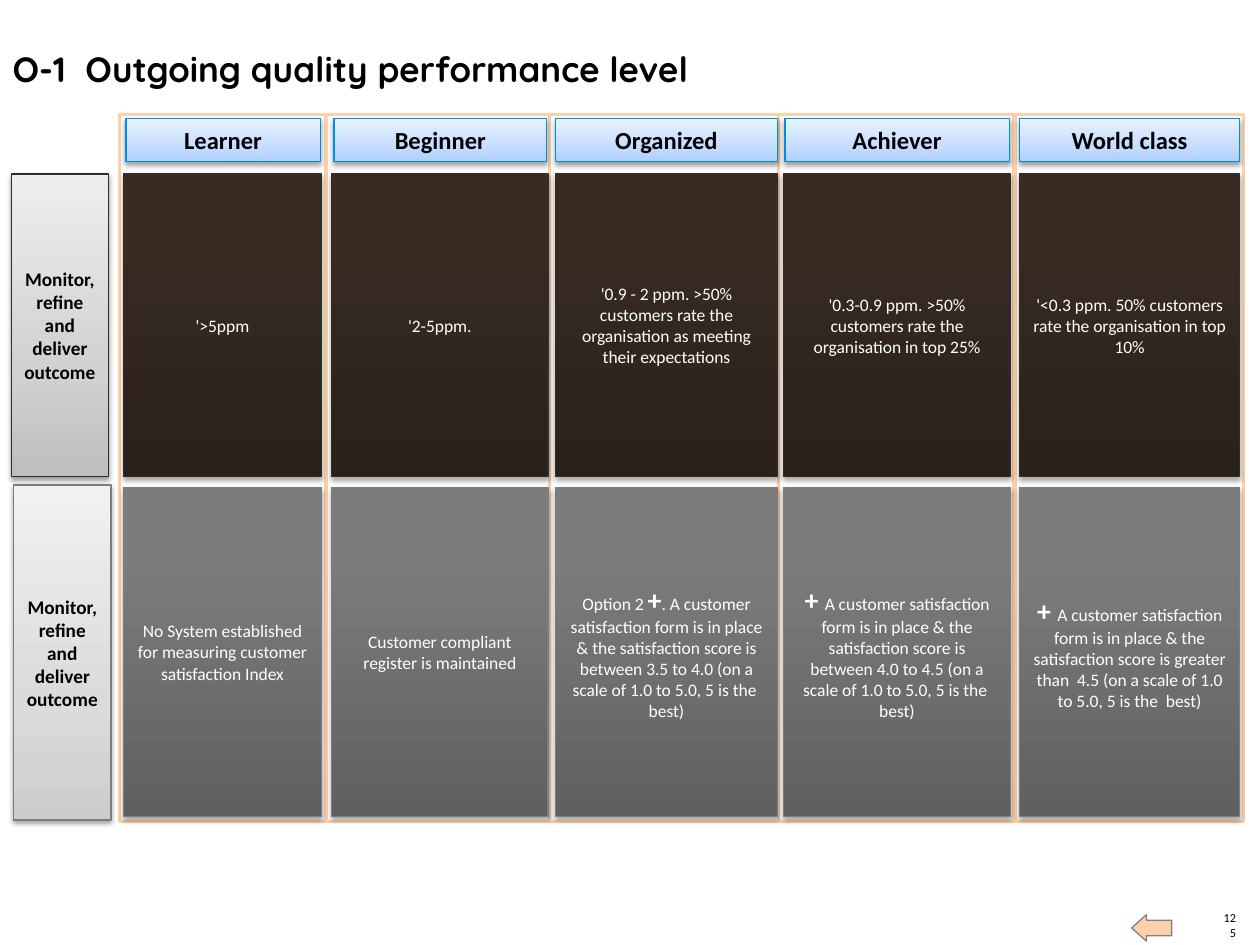
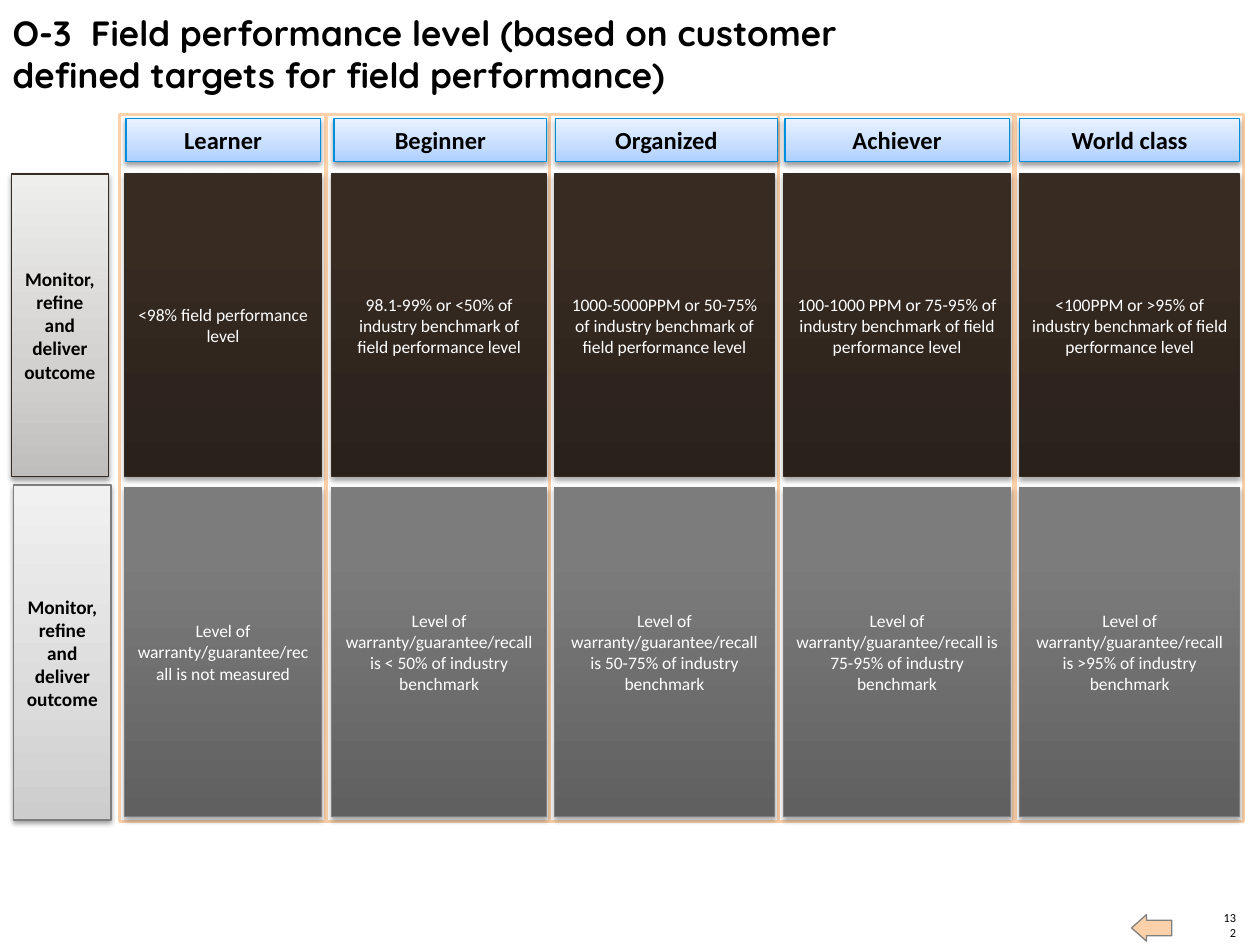
from copy import deepcopy

from lxml.etree import SubElement
from pptx import Presentation
from pptx.dml.color import RGBColor
from pptx.enum.shapes import MSO_SHAPE as Shape
from pptx.enum.text import MSO_ANCHOR as Anchor, MSO_AUTO_SIZE as AutoSize, PP_ALIGN as Align
from pptx.oxml.ns import qn
from pptx.util import Pt

COLORS = {
    "black": "000000",
    "white": "FFFFFF",
    "peach": "FCD1AA",
    "arrow_line": "808080",
    "header_line": "008FDC",
    "brown_line": "352C25",
    "gray_line": "7D7D7D",
}
GRADIENTS = {
    "header": ((0, "AECFFF"), (0.35, "C6DDFF"), (1, "E9F2FF")),
    "brown": ((0, "2A211B"), (0.8, "372B22"), (1, "372B22")),
    "gray": ((0, "606060"), (0.8, "7C7C7C"), (1, "7D7D7D")),
    "pale_brown": ((0, "C0BEBC"), (0.35, "D3D1D0"), (1, "EEEEED")),
    "pale_gray": ((0, "CDCDCD"), (0.35, "DBDBDB"), (1, "F1F1F1")),
}
BODY_FONT = "Calibri"
TITLE_FONT = "Quicksand"

LEVELS = ("Learner", "Beginner", "Organized", "Achiever", "World class")
ROW_LABEL = "Monitor, refine and deliver outcome"
FRAME_SPANS = ((68.4, 118), (186.5, 129), (314, 131), (445, 134.6), (580.3, 130.3))
HEADER_SPANS = ((72, 111), (190.8, 121.7), (317.5, 126.7), (448.5, 128.2), (582.5, 126))
FRAME_ROW = (65.5, 404)
HEADER_ROW = (67.7, 24.5)
BANDS = (
    {"fill": "brown", "line": "brown_line", "row": (99.4, 172.8),
     "label_fill": "pale_brown", "label_box": (6.5, 99.4, 55.5, 172.8)},
    {"fill": "gray", "line": "gray_line", "row": (278.6, 188),
     "label_fill": "pale_gray", "label_box": (7.9, 277.2, 55.5, 191.5)},
)

PAGES = (
    {
        "title": "O-1  Outgoing quality performance level",
        "title_box": (0, 23.8, 619, 31.7),
        "number": "125",
        "cell_spans": ((70.6, 113), (189.4, 123.8), (317.5, 126.7), (447.8, 129.6), (582.5, 126)),
        "bands": (
            (
                ["'>5ppm"],
                ["'2-5ppm."],
                ["'0.9 - 2 ppm. >50% customers rate the organisation as meeting their expectations"],
                ["'0.3-0.9 ppm. >50% customers rate the organisation in top 25%"],
                ["'<0.3 ppm. 50% customers rate the organisation in top 10%"],
            ),
            (
                ["No System established for measuring customer satisfaction Index"],
                ["Customer compliant register is maintained"],
                ["Option 2 ", "+", ". A customer satisfaction form is in place & the satisfaction "
                 "score is between 3.5 to 4.0 (on a scale of 1.0 to 5.0, 5 is the  best)"],
                ["+ ", "A customer satisfaction form is in place & the satisfaction "
                 "score is between 4.0 to 4.5 (on a scale of 1.0 to 5.0, 5 is the  best)"],
                ["+ ", "A customer satisfaction form is in place & the satisfaction "
                 "score is greater than  4.5 (on a scale of 1.0 to 5.0, 5 is the  best)"],
            ),
        ),
    },
    {
        "title": "O-3  Field performance level (based on customer defined targets for field performance)",
        "title_box": (0, 2.9, 525.6, 55.4),
        "number": "132",
        "cell_spans": ((71.3, 112.3), (189.4, 123), (316.9, 125.5), (447.8, 129.6), (582.5, 126)),
        "bands": (
            (
                ["<98% field performance level"],
                ["98.1-99% or <50% of industry benchmark of field performance level"],
                ["1000-5000PPM or 50-75% of industry benchmark of field performance level"],
                ["100-1000 PPM or 75-95% of industry benchmark of field performance level"],
                ["<100PPM or >95% of industry benchmark of field performance level"],
            ),
            (
                ["Level of warranty/guarantee/recall is not measured"],
                ["Level of warranty/guarantee/recall is < 50% of industry benchmark"],
                ["Level of warranty/guarantee/recall is 50-75% of industry benchmark"],
                ["Level of warranty/guarantee/recall is 75-95% of industry benchmark"],
                ["Level of warranty/guarantee/recall is >95% of industry benchmark"],
            ),
        ),
    },
)


def rgb(name):
    return RGBColor.from_string(COLORS[name])


def add_run(paragraph, text, size, color="black", bold=False, font=BODY_FONT):
    run = paragraph.add_run()
    run.text = text
    run.font.name = font
    run.font.size = Pt(size)
    run.font.bold = bold
    run.font.color.rgb = rgb(color)


def add_preset(slide, preset, box, line, line_width):
    shape = slide.shapes.add_shape(preset, *map(Pt, box))
    shape.shadow.inherit = False
    shape.line.color.rgb = rgb(line)
    shape.line.width = Pt(line_width)
    return shape


def fill_gradient(shape, stops):
    shape.fill.gradient()
    shape.fill.gradient_angle = 90
    stop_list = shape.element.spPr.find(".//" + qn("a:gsLst"))
    stop_list.append(deepcopy(stop_list[0]))
    for stop, (position, color) in zip(shape.fill.gradient_stops, stops):
        stop.position = position
        stop.color.rgb = RGBColor.from_string(color)


def cast_shadow(shape, opacity, distance):
    effects = shape.element.spPr.find(qn("a:effectLst"))
    shadow = SubElement(effects, qn("a:outerShdw"), blurRad=str(Pt(3.1)),
                        dist=str(Pt(distance)), dir="5400000", rotWithShape="0")
    color = SubElement(shadow, qn("a:srgbClr"), val=COLORS["black"])
    SubElement(color, qn("a:alpha"), val=str(opacity * 1000))


def add_panel(slide, box, gradient, line, opacity=38, distance=1.6):
    panel = add_preset(slide, Shape.RECTANGLE, box, line, 0.75)
    fill_gradient(panel, GRADIENTS[gradient])
    cast_shadow(panel, opacity, distance)
    panel.text_frame.word_wrap = True
    panel.text_frame.vertical_anchor = Anchor.MIDDLE
    paragraph = panel.text_frame.paragraphs[0]
    paragraph.alignment = Align.CENTER
    return paragraph


def add_title(slide, text, box):
    title = slide.shapes.title
    title.left, title.top, title.width, title.height = map(Pt, box)
    frame = title.text_frame
    frame.auto_size = AutoSize.NONE
    frame.vertical_anchor = Anchor.TOP
    frame.paragraphs[0].alignment = Align.LEFT
    add_run(frame.paragraphs[0], text, 20, bold=True, font=TITLE_FONT)


def add_footer(slide, number):
    arrow = add_preset(slide, Shape.RIGHT_ARROW, (646.6, 522.7, 23, 15.1), "arrow_line", 0.75)
    arrow.rotation = 180
    arrow.adjustments[0], arrow.adjustments[1] = 0.59, 0.56
    arrow.fill.solid()
    arrow.fill.fore_color.rgb = rgb("peach")

    frame = slide.shapes.add_textbox(*map(Pt, (697.7, 520, 8.6, 17.1))).text_frame
    frame.margin_left = frame.margin_right = frame.margin_top = frame.margin_bottom = 0
    frame.word_wrap = True
    frame.vertical_anchor = Anchor.BOTTOM
    frame.paragraphs[0].alignment = Align.RIGHT
    add_run(frame.paragraphs[0], number, 7)


def add_column_frames(slide):
    top, height = FRAME_ROW
    for left, width in FRAME_SPANS:
        frame = add_preset(slide, Shape.RECTANGLE, (left, top, width, height), "peach", 2)
        frame.fill.solid()
        frame.fill.fore_color.rgb = rgb("white")


def add_headers(slide):
    top, height = HEADER_ROW
    for level, (left, width) in zip(LEVELS, HEADER_SPANS):
        header = add_panel(slide, (left, top, width, height), "header", "header_line")
        add_run(header, level, 14, bold=True)


def add_band(slide, band, cells, spans):
    label = add_panel(slide, band["label_box"], band["label_fill"], band["line"])
    add_run(label, ROW_LABEL, 11, bold=True)
    top, height = band["row"]
    for parts, (left, width) in zip(cells, spans):
        cell = add_panel(slide, (left, top, width, height), band["fill"], band["line"], 35, 1.8)
        for part in parts:
            is_plus = part.strip() == "+"
            add_run(cell, part, 16 if is_plus else 10, "white", is_plus)


def main():
    deck = Presentation()
    deck.slide_width, deck.slide_height = Pt(720), Pt(540)
    title_only = deck.slide_layouts[5]
    for page in PAGES:
        slide = deck.slides.add_slide(title_only)
        add_footer(slide, page["number"])
        add_title(slide, page["title"], page["title_box"])
        add_column_frames(slide)
        add_headers(slide)
        for band, cells in zip(BANDS, page["bands"]):
            add_band(slide, band, cells, page["cell_spans"])
    deck.save("out.pptx")


if __name__ == "__main__":
    main()
